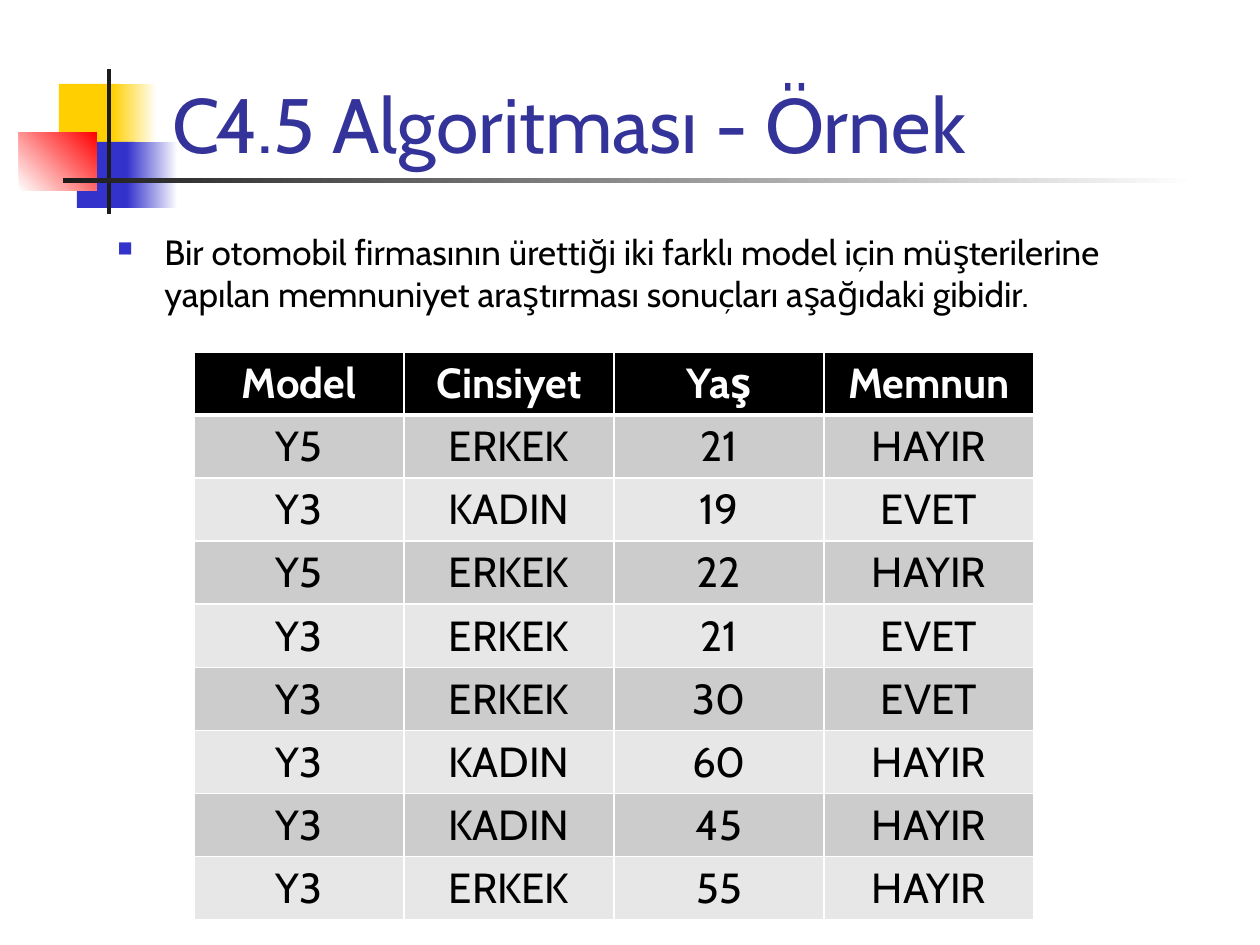
from lxml.etree import SubElement
from pptx import Presentation
from pptx.dml.color import RGBColor as RGB
from pptx.enum.shapes import MSO_SHAPE as SHAPE
from pptx.enum.text import MSO_ANCHOR as ANCHOR, PP_ALIGN as ALIGN
from pptx.oxml.ns import qn
from pptx.util import Pt

PX = 7257.14
FONT = "Cabin"
COLORS = {
    "yellow": "FFCF01",
    "blue": "3333CC",
    "red": "FF0000",
    "line": "1C1C1C",
    "title": "333399",
    "black": "000000",
    "white": "FFFFFF",
    "dark_row": "CCCCCC",
    "light_row": "E7E7E7",
}
DECOR = [
    (59, 84, 61, 66, ["yellow"], 0),
    (112, 84, 45, 66, ["yellow", "white"], 0),
    (77, 142, 58, 66, ["blue"], 0),
    (127, 142, 51, 66, ["blue", "white"], 0),
    (19, 132, 78, 59, ["white", "red"], 45),
    (107, 69, 4, 145, ["line"], 0),
    (63, 178, 1134, 5, ["line", "white"], 0),
]
SURVEY = [
    ("Model", "Cinsiyet", "Yaş", "Memnun"),
    ("Y5", "ERKEK", "21", "HAYIR"),
    ("Y3", "KADIN", "19", "EVET"),
    ("Y5", "ERKEK", "22", "HAYIR"),
    ("Y3", "ERKEK", "21", "EVET"),
    ("Y3", "ERKEK", "30", "EVET"),
    ("Y3", "KADIN", "60", "HAYIR"),
    ("Y3", "KADIN", "45", "HAYIR"),
    ("Y3", "ERKEK", "55", "HAYIR"),
]


def px(n):
    return round(n * PX)


def rgb(name):
    return RGB.from_string(COLORS[name])


def add_block(s, x, y, w, h, colors, angle):
    sp = s.shapes.add_shape(SHAPE.RECTANGLE, px(x), px(y), px(w), px(h))
    sp.shadow.inherit = False
    sp.line.fill.background()
    if len(colors) == 1:
        sp.fill.solid()
        sp.fill.fore_color.rgb = rgb(colors[0])
        return
    sp.fill.gradient()
    sp.fill.gradient_angle = angle
    for stop, position, color in zip(sp.fill.gradient_stops, (0, 1), colors):
        stop.position = position
        stop.color.rgb = rgb(color)


def style_text(p, size, color, bold=False):
    for r in p.runs:
        r.font.name = FONT
        r.font.size = Pt(size)
        r.font.bold = bold
        r.font.color.rgb = rgb(color)


def add_text(s, x, y, w, h, text, size, color, anchor=ANCHOR.TOP):
    tf = s.shapes.add_textbox(px(x), px(y), px(w), px(h)).text_frame
    tf.word_wrap = True
    tf.vertical_anchor = anchor
    p = tf.paragraphs[0]
    p.text = text
    style_text(p, size, color)
    return p


def add_bullet(p, indent, color):
    pPr = p._p.get_or_add_pPr()
    pPr.set("marL", str(px(indent)))
    pPr.set("indent", str(-px(indent)))
    clr = SubElement(pPr, qn("a:buClr"))
    SubElement(clr, qn("a:srgbClr"), val=COLORS[color])
    SubElement(pPr, qn("a:buSzPct"), val="60000")
    SubElement(pPr, qn("a:buChar"), char="■")


def set_borders(cell, widths):
    tcPr = cell._tc.get_or_add_tcPr()
    for side, width in zip("LRTB", widths):
        ln = SubElement(tcPr, qn(f"a:ln{side}"), w=str(Pt(width)))
        fill = SubElement(ln, qn("a:solidFill"))
        SubElement(fill, qn("a:srgbClr"), val=COLORS["white"])


def add_survey_table(s, x, y, col_w, row_h, rows):
    n_rows, n_cols = len(rows), len(rows[0])
    frame = s.shapes.add_table(n_rows, n_cols, px(x), px(y),
                               px(col_w * n_cols), px(row_h * n_rows))
    for i, row in enumerate(rows):
        header = i == 0
        fill = "black" if header else "dark_row" if i % 2 else "light_row"
        for j, text in enumerate(row):
            cell = frame.table.cell(i, j)
            set_borders(cell, (1, 1, 3 if i == 1 else 1, 3 if header else 1))
            cell.fill.solid()
            cell.fill.fore_color.rgb = rgb(fill)
            p = cell.text_frame.paragraphs[0]
            p.text = text
            p.alignment = ALIGN.CENTER
            style_text(p, 24, "white" if header else "black", header)


def main():
    prs = Presentation()
    prs.slide_width, prs.slide_height = px(1260), px(945)
    s = prs.slides.add_slide(prs.slide_layouts[6])
    for block in DECOR:
        add_block(s, *block)
    add_text(s, 160, 18, 1074, 157, "C4.5 Algoritması - Örnek", 44, "title",
             ANCHOR.BOTTOM)
    p = add_text(s, 105, 224, 1071, 587,
                 "Bir otomobil firmasının ürettiği iki farklı model için "
                 "müşterilerine yapılan memnuniyet araştırması sonuçları "
                 "aşağıdaki gibidir.", 20, "black")
    add_bullet(p, 47, "blue")
    add_survey_table(s, 194, 352, 210, 63, SURVEY)
    prs.save("out.pptx")


if __name__ == "__main__":
    main()
